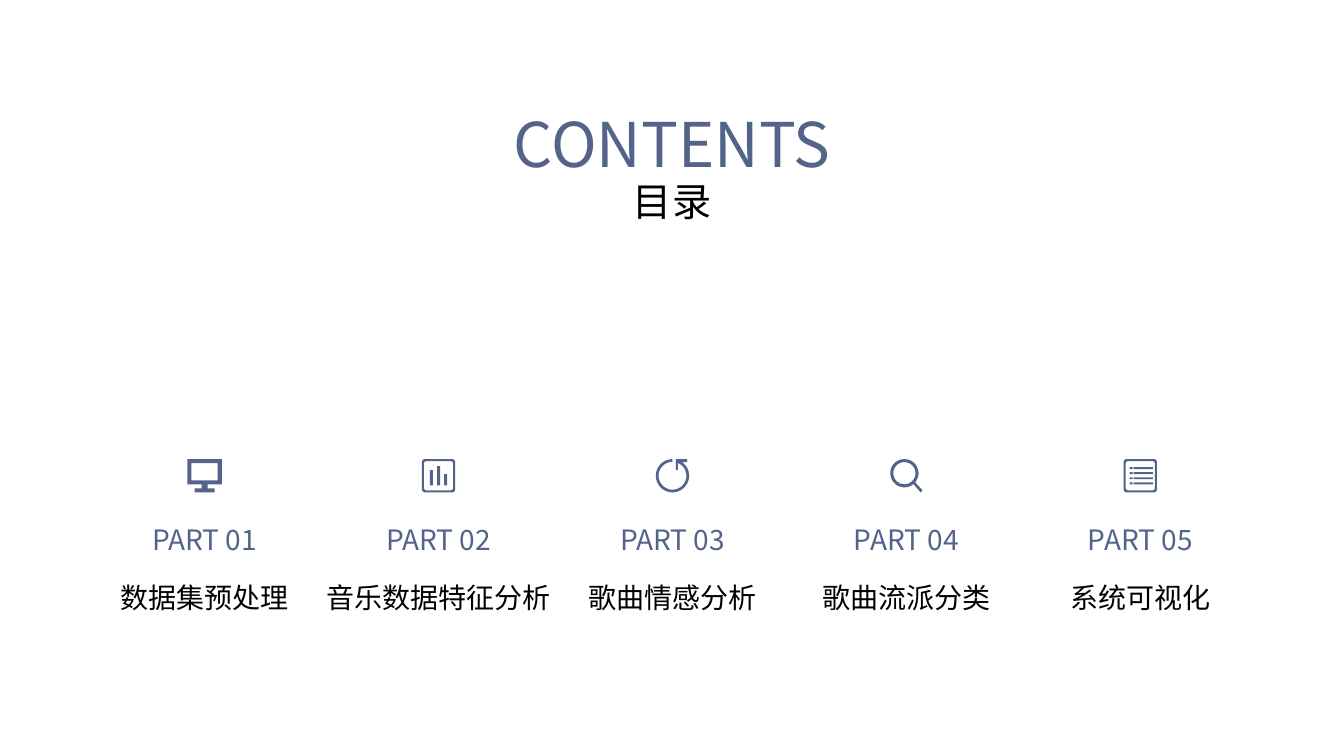
"""Build a contents slide with five parts, each with an icon, a number and a name."""
import math

from lxml import etree
from pptx import Presentation
from pptx import util as u
from pptx.dml.color import RGBColor
from pptx.enum import text
from pptx.oxml.ns import qn

SLATE = RGBColor(0x54, 0x63, 0x8A)
BLACK = RGBColor(0, 0, 0)
FONT = "Noto Sans CJK SC"
PX = u.Inches(0.01)
ICON_UNITS = 10
TITLE_ONLY = 5

PARTS = ["数据集预处理", "音乐数据特征分析", "歌曲情感分析", "歌曲流派分类", "系统可视化"]
FIRST_CENTRE, COLUMN_STEP, COLUMN_WIDTH = 203, 232, 244
ICON_CENTRE, NUMBER_TOP, NAME_TOP, LABEL_HEIGHT = 472, 513, 571, 44


def box(left, top, right, bottom):
    return [(left, top), (right, top), (right, bottom), (left, bottom)]


def arc(x, y, radius, start, end, steps=48):
    angles = [math.radians(start + (end - start) * i / steps) for i in range(steps + 1)]
    return [(x + radius * math.cos(a), y + radius * math.sin(a)) for a in angles]


def rounded(half, radius):
    inset = half - radius
    corners = [(1, 1), (-1, 1), (-1, -1), (1, -1)]
    return [point for i, (x, y) in enumerate(corners)
            for point in arc(x * inset, y * inset, radius, 90 * i, 90 * i + 90, 6)]


FRAME = [rounded(165, 30), rounded(145, 25)]
SCREEN = [
    [(-170, -165), (170, -165), (170, 85), (30, 85), (30, 125), (100, 125),
     (100, 165), (-100, 165), (-100, 125), (-30, 125), (-30, 85), (-170, 85)],
    box(-130, -125, 130, 45),
]
BARS = FRAME + [box(x, top, x + 30, 95) for x, top in [(-85, -55), (-15, -95), (55, -15)]]
REFRESH = [
    [(35, -165), (145, -165), (145, -135), (95, -135)]
    + arc(0, 0, 165, -53, 270) + arc(0, 0, 138, 270, -62)
    + [(55, -125), (55, -55), (35, -55)],
]
MAGNIFIER = [
    arc(-20, -25, 140, 50, 400) + [(160, 145), (140, 165)],
    arc(-20, -25, 110, 0, 360),
]
LIST = FRAME + [box(left, top, right, top + 20)
                for top in range(-85, 70, 50)
                for left, right in [(-105, -75), (-65, 125)]]
ICONS = [SCREEN, BARS, REFRESH, MAGNIFIER, LIST]


class ContentsSlide:
    """Hold the text style and the current slide, and add its elements."""

    def __init__(self, presentation):
        self.slide = presentation.slides.add_slide(presentation.slide_layouts[TITLE_ONLY])
        self.frame_format = {
            "word_wrap": True,
            "vertical_anchor": text.MSO_ANCHOR.TOP,
            "auto_size": text.MSO_AUTO_SIZE.SHAPE_TO_FIT_TEXT,
            "margin_top": 5 * PX,
            "margin_bottom": 5 * PX,
        }

    def set_text(self, shape, words, size, color, side_margin):
        frame = shape.text_frame
        margins = {"margin_left": side_margin * PX, "margin_right": side_margin * PX}
        for name, value in {**self.frame_format, **margins}.items():
            setattr(frame, name, value)
        paragraph = frame.paragraphs[0]
        paragraph.alignment = text.PP_ALIGN.CENTER
        run = paragraph.add_run()
        run.text = words
        for name, value in {"size": u.Pt(size), "bold": False, "name": FONT}.items():
            setattr(run.font, name, value)
        run.font.color.rgb = color
        etree.SubElement(run._r.get_or_add_rPr(), qn("a:ea"), typeface=FONT)

    def title(self, words, bounds, size, color):
        shape = self.slide.shapes.title
        for name, value in zip(("left", "top", "width", "height"), bounds):
            setattr(shape, name, value * PX)
        self.set_text(shape, words, size, color, 0)

    def label(self, words, bounds, size, color, side_margin=10):
        shape = self.slide.shapes.add_textbox(*(value * PX for value in bounds))
        self.set_text(shape, words, size, color, side_margin)

    def icon(self, outlines, centre_x, centre_y):
        builder = self.slide.shapes.build_freeform(*outlines[0][0], scale=PX / ICON_UNITS)
        for outline in outlines:
            builder.move_to(*outline[0])
            builder.add_line_segments(outline[1:], close=True)
        shape = builder.convert_to_shape(centre_x * PX, centre_y * PX)
        shape.shadow.inherit = False
        shape.fill.solid()
        shape.fill.fore_color.rgb = SLATE
        shape.line.fill.background()


def main():
    presentation = Presentation()
    presentation.slide_width = 1333 * PX
    presentation.slide_height = 750 * PX
    contents = ContentsSlide(presentation)
    contents.title("CONTENTS", (438, 100, 457, 84), 44, SLATE)
    contents.label("目录", (514, 171, 305, 57), 28, BLACK, side_margin=0)
    for index, (name, icon) in enumerate(zip(PARTS, ICONS)):
        centre = FIRST_CENTRE + index * COLUMN_STEP
        left = centre - COLUMN_WIDTH // 2
        contents.icon(icon, centre, ICON_CENTRE)
        contents.label(f"PART {index + 1:02}",
                       (left, NUMBER_TOP, COLUMN_WIDTH, LABEL_HEIGHT), 20, SLATE)
        contents.label(name, (left, NAME_TOP, COLUMN_WIDTH, LABEL_HEIGHT), 20, BLACK)
    presentation.save("out.pptx")


if __name__ == "__main__":
    main()
